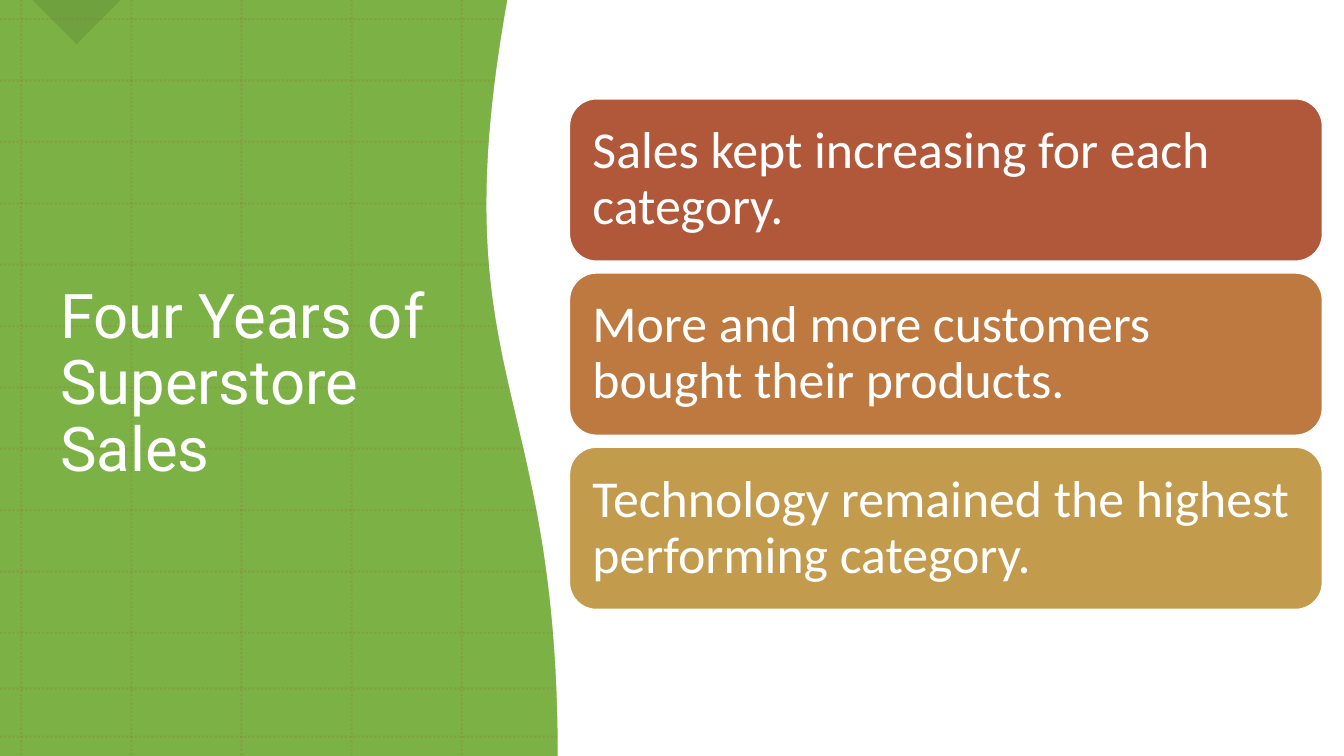
"""Build the slide summarising four years of superstore sales."""

from dataclasses import dataclass
from typing import Any

from lxml.etree import SubElement
from pptx import Presentation
from pptx.dml.color import RGBColor
from pptx.enum.dml import MSO_LINE
from pptx.enum.shapes import MSO_CONNECTOR, MSO_SHAPE
from pptx.enum.text import MSO_ANCHOR, PP_ALIGN
from pptx.oxml.ns import qn
from pptx.util import Pt

WHITE = RGBColor(0xFF, 0xFF, 0xFF)
GREEN = RGBColor(0x7B, 0xB1, 0x45)
DARK_GREEN = RGBColor(0x3E, 0x58, 0x23)
RUST = RGBColor(0xB1, 0x58, 0x3B)
COPPER = RGBColor(0xBE, 0x79, 0x40)
GOLD = RGBColor(0xC3, 0x9B, 0x4D)

PAGE_WIDTH, PAGE_HEIGHT = 960, 540
GRID_COLUMNS = [15.1 + 78.7 * index for index in range(5)]
GRID_ROWS = [13.7 + 43.84 * index for index in range(11)] + [491.8, 526.3]
WAVE = ((398.9, 540), (398.9, 270.7), (314.6, 269.3), (362.9, 0))
WAVE_STEPS = 60
CARD_TOP, CARD_PITCH = 70.6, 124.4


@dataclass(frozen=True)
class Frame:
    """Position and size in points."""

    left: float
    top: float
    width: float
    height: float

    def lengths(self) -> tuple[Pt, Pt, Pt, Pt]:
        """Return the four measures as lengths."""
        return Pt(self.left), Pt(self.top), Pt(self.width), Pt(self.height)


@dataclass(frozen=True)
class Card:
    """One takeaway and its colour."""

    text: str
    colour: RGBColor


CARDS = (
    Card("Sales kept increasing for each category.", RUST),
    Card("More and more customers bought their products.", COPPER),
    Card("Technology remained the highest performing category.", GOLD),
)


def apply_format(target: Any, values: dict[str, Any]) -> None:
    """Set every named attribute on the target."""
    for name, value in values.items():
        setattr(target, name, value)


def set_opacity(element: Any, percent: int) -> None:
    """Make the solid colour within an element translucent."""
    colour = next(element.iter(qn("a:srgbClr")))
    SubElement(colour, qn("a:alpha"), val=str(percent * 1000))


def paint(shape: Any, fill: RGBColor, outline: RGBColor | None = None) -> None:
    """Give a shape a flat fill and an optional thin outline."""
    shape.shadow.inherit = False
    shape.fill.solid()
    shape.fill.fore_color.rgb = fill
    if outline is None:
        shape.line.fill.background()
    else:
        shape.line.color.rgb = outline
        shape.line.width = Pt(1)


def add_block(page: Any, kind: MSO_SHAPE, frame: Frame, fill: RGBColor,
              outline: RGBColor | None = None) -> Any:
    """Add a painted preset shape."""
    block = page.shapes.add_shape(kind, *frame.lengths())
    paint(block, fill, outline)
    return block


def add_grid_line(page: Any, start: tuple[float, float],
                  end: tuple[float, float]) -> None:
    """Add one faint dotted grid line."""
    line = page.shapes.add_connector(
        MSO_CONNECTOR.STRAIGHT, *(Pt(value) for value in start + end))
    line.line.color.rgb = RUST
    apply_format(line.line, {"width": Pt(1.5), "dash_style": MSO_LINE.ROUND_DOT})
    properties = line.element.spPr
    set_opacity(properties, 20)
    SubElement(properties, qn("a:effectLst"))


def wave_point(step: int) -> tuple[Pt, Pt]:
    """Return a point of the cubic curve that bounds the white area."""
    ratio = step / WAVE_STEPS
    rest = 1 - ratio
    weights = (rest ** 3, 3 * rest ** 2 * ratio, 3 * rest * ratio ** 2, ratio ** 3)
    across, down = (sum(weight * point[axis] for weight, point in zip(weights, WAVE))
                    for axis in (0, 1))
    return Pt(across), Pt(down)


def add_wave(page: Any) -> None:
    """Add the white area with a curved left edge."""
    corner = (Pt(PAGE_WIDTH), Pt(PAGE_HEIGHT))
    builder = page.shapes.build_freeform(*corner)
    curve = [wave_point(step) for step in range(WAVE_STEPS + 1)]
    builder.add_line_segments(curve + [(Pt(PAGE_WIDTH), 0)], close=True)
    paint(builder.convert_to_shape(), WHITE, WHITE)


def write_text(box: Any, text: str, font: dict[str, Any],
               margins: dict[str, Any]) -> None:
    """Write one white, left-aligned paragraph, centred vertically."""
    frame = box.text_frame
    apply_format(frame, {"word_wrap": True, "vertical_anchor": MSO_ANCHOR.MIDDLE,
                         **margins})
    para = frame.paragraphs[0]
    apply_format(para, {"alignment": PP_ALIGN.LEFT, "line_spacing": 0.9})
    span = para.add_run()
    span.text = text
    apply_format(span.font, font)
    span.font.color.rgb = WHITE


def main() -> None:
    """Build and save the deck."""
    deck = Presentation()
    apply_format(deck, {"slide_width": Pt(PAGE_WIDTH), "slide_height": Pt(PAGE_HEIGHT)})
    page = deck.slides.add_slide(deck.slide_layouts[6])

    add_block(page, MSO_SHAPE.RECTANGLE, Frame(0, 0, PAGE_WIDTH, PAGE_HEIGHT), GREEN)
    notch = add_block(page, MSO_SHAPE.RIGHT_TRIANGLE,
                      Frame(32.4, -22.3, 44.6, 44.6), DARK_GREEN)
    notch.rotation = 315
    set_opacity(notch.element.spPr, 17)

    for row in GRID_ROWS:
        add_grid_line(page, (0, row), (PAGE_WIDTH, row))
    for column in GRID_COLUMNS:
        add_grid_line(page, (column, 0), (column, PAGE_HEIGHT))

    title = page.shapes.add_textbox(*Frame(36, 56.9, 293.8, 435.6).lengths())
    write_text(title, "Four Years of Superstore Sales",
               {"name": "Roboto", "size": Pt(44)}, {})
    add_wave(page)

    margins = {f"margin_{side}": Pt(10.8) for side in ("left", "top", "right", "bottom")}
    for index, card in enumerate(CARDS):
        frame = Frame(406.8, CARD_TOP + CARD_PITCH * index, 537.8, 115.9)
        block = add_block(page, MSO_SHAPE.ROUNDED_RECTANGLE, frame, card.colour, WHITE)
        write_text(block, card.text, {"name": "Calibri", "size": Pt(37)}, margins)

    deck.save("out.pptx")


if __name__ == "__main__":
    main()
